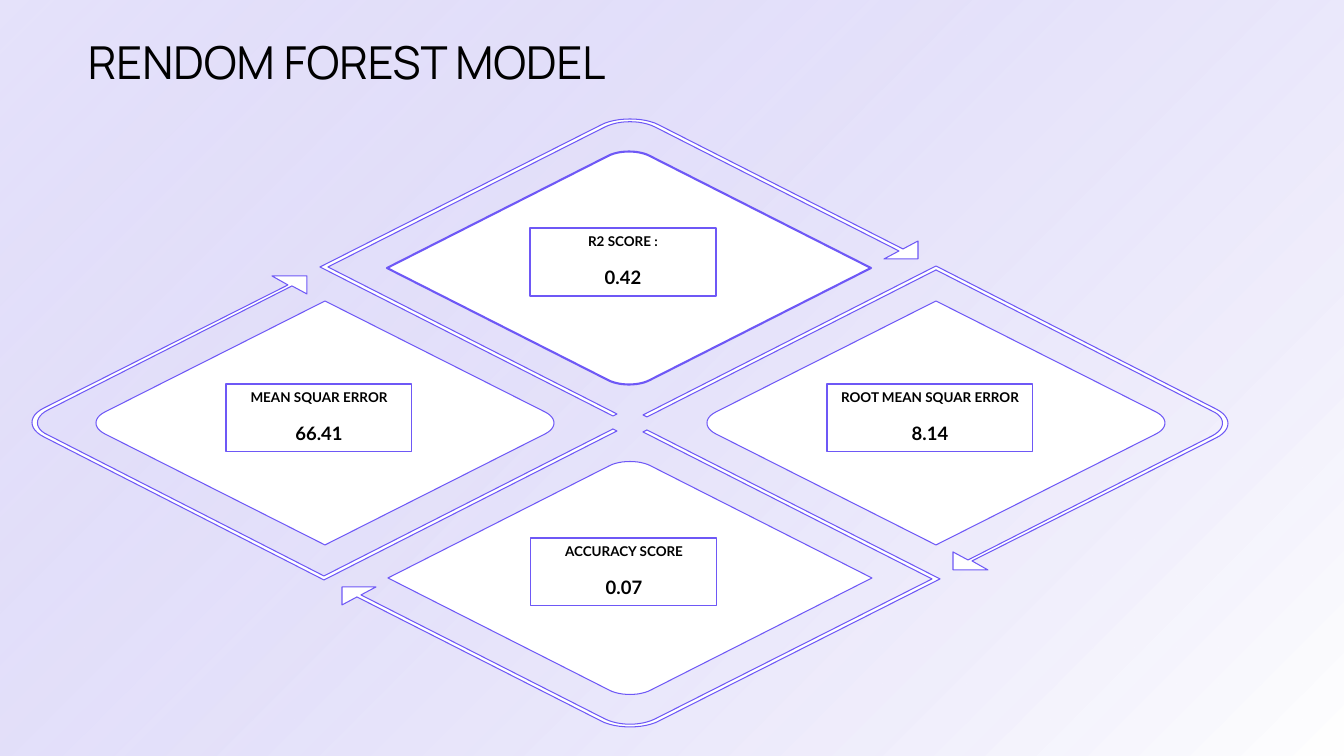
from dataclasses import dataclass

from lxml import etree
from pptx import Presentation
from pptx.dml.color import RGBColor
from pptx.enum.shapes import MSO_SHAPE
from pptx.enum.text import MSO_ANCHOR, PP_ALIGN
from pptx.oxml.ns import qn
from pptx.util import Emu, Pt

RECT = MSO_SHAPE.RECTANGLE
MIDDLE = MSO_ANCHOR.MIDDLE
CENTER = PP_ALIGN.CENTER

WIDTH, HEIGHT = 1344, 756
EMU_PER_PX = 914400 / 100.8
CURVE_STEPS = 12


@dataclass(frozen=True)
class Theme:
    white: RGBColor = RGBColor(0xFF, 0xFF, 0xFF)
    black: RGBColor = RGBColor(0x00, 0x00, 0x00)
    violet: RGBColor = RGBColor(0x6E, 0x58, 0xF6)
    lilac: RGBColor = RGBColor(0xB5, 0xAC, 0xF3)
    lilac_alpha: int = 34
    title_font: str = "Manrope"
    body_font: str = "Lato"
    title_size: float = 32.4
    label_size: float = 9.6
    value_size: float = 13.2
    value_gap: float = 11.5
    thin: float = 0.75


def px(n):
    return Emu(round(n * EMU_PER_PX))


def bezier(p0, p1, p2, p3):
    """Points along a cubic curve, without its start."""
    for step in range(1, CURVE_STEPS + 1):
        t = step / CURVE_STEPS
        u = 1 - t
        yield tuple(u**3 * a + 3 * u * u * t * b + 3 * u * t * t * c + t**3 * d
                    for a, b, c, d in zip(p0, p1, p2, p3))


def flatten(outline):
    """Turn points (x, y) and curves (c1, c2, end) into points."""
    points = []
    for part in outline:
        if len(part) == 3:
            points.extend(bezier(points[-1], *part))
        else:
            points.append(part)
    return points


class SlideMaker:
    def __init__(self, slide, theme):
        self.shapes = slide.shapes
        self.theme = theme

    def paint(self, sp, line_width):
        sp.shadow.inherit = False
        sp.fill.solid()
        sp.fill.fore_color.rgb = self.theme.white
        sp.line.color.rgb = self.theme.violet
        sp.line.width = Pt(line_width)

    def set_text(self, p, text, font, size, bold=False):
        p.text = text
        p.font.name = font
        p.font.size = Pt(size)
        p.font.bold = bold
        p.font.color.rgb = self.theme.black

    def backdrop(self):
        sp = self.shapes.add_shape(RECT, 0, 0, px(WIDTH), px(HEIGHT))
        sp.shadow.inherit = False
        sp.line.fill.background()
        sp.fill.gradient()
        sp.fill.gradient_angle = 135
        start, end = sp.fill.gradient_stops
        start.color.rgb, start.position = self.theme.white, 0
        end.color.rgb, end.position = self.theme.lilac, 1
        color = sp.element.spPr.findall(".//" + qn("a:srgbClr"))[-1]
        alpha = etree.SubElement(color, qn("a:alpha"))
        alpha.set("val", str(self.theme.lilac_alpha * 1000))

    def title(self, x, y, w, h, text):
        tf = self.shapes.add_textbox(px(x), px(y), px(w), px(h)).text_frame
        tf.word_wrap = True
        self.set_text(tf.paragraphs[0], text, self.theme.title_font, self.theme.title_size)

    def freeform(self, center, outline, line_width, sign=1):
        """Closed outline around a center; sign -1 turns it by half a circle."""
        cx, cy = center
        points = [(px(cx + sign * x), px(cy + sign * y)) for x, y in flatten(outline)]
        builder = self.shapes.build_freeform(*points[0])
        builder.add_line_segments(points[1:], close=True)
        self.paint(builder.convert_to_shape(), line_width)

    def card(self, x, y, w, h, label, value, line_width):
        sp = self.shapes.add_shape(RECT, px(x), px(y), px(w), px(h))
        self.paint(sp, line_width)
        tf = sp.text_frame
        tf.word_wrap = True
        tf.vertical_anchor = MIDDLE
        tf.margin_left = tf.margin_right = tf.margin_top = 0
        tf.margin_bottom = px(3)
        theme = self.theme
        self.set_text(tf.paragraphs[0], label, theme.body_font, theme.label_size, True)
        p = tf.add_paragraph()
        self.set_text(p, value, theme.body_font, theme.value_size, True)
        p.space_before = Pt(theme.value_gap)
        for p in tf.paragraphs:
            p.alignment = CENTER


# Outlines, relative to the center of the diamond or of the whole cycle
HUB = (630, 423)
TALL_DIAMOND = [
    (-242, 0), (-21, -112), ((-10, -118), (10, -118), (21, -112)),
    (242, 0), (21, 112), ((10, 118), (-10, 118), (-21, 112)),
]
WIDE_DIAMOND = [
    (0, -122), (220, -11), ((232, -5), (232, 5), (220, 11)),
    (0, 122), (-220, 11), ((-232, 5), (-232, -5), (-220, -11)),
]
TOP_ARROW = [
    (-29, -298), ((-14, -306), (14, -306), (29, -298)),
    (273, -174), (288, -182), (288, -164), (254, -164), (269, -172),
    (25, -296), ((11, -303), (-11, -303), (-25, -296)),
    (-302, -156), (-13, -9), (-17, -7), (-310, -156),
]
RIGHT_ARROW = [
    (586, -14), ((602, -6), (602, 7), (586, 15)),
    (342, 138), (358, 147), (323, 147), (323, 129), (338, 137),
    (582, 13), ((596, 6), (596, -6), (582, -12)),
    (306, -153), (17, -6), (13, -8), (306, -157),
]

# Diamond center, diamond outline, line width, card left, top, width, label, value, card line
SCORES = [
    ((629, 268), TALL_DIAMOND, 1.5, 530, 228, 186, "R2 SCORE :", "0.42", 1),
    ((936, 423), WIDE_DIAMOND, 0.75, 827, 384, 206, "ROOT MEAN SQUAR ERROR", "8.14", 0.75),
    ((630, 578), TALL_DIAMOND, 0.75, 531, 538, 186, "ACCURACY SCORE", "0.07", 0.75),
    ((325, 423), WIDE_DIAMOND, 0.75, 226, 384, 186, "MEAN SQUAR ERROR", "66.41", 0.75),
]
CARD_HEIGHT = 68


def main():
    prs = Presentation()
    prs.slide_width, prs.slide_height = px(WIDTH), px(HEIGHT)
    s = prs.slides.add_slide(prs.slide_layouts[6])
    theme = Theme()
    maker = SlideMaker(s, theme)

    # Background and title
    maker.backdrop()
    maker.title(78, 29, 572, 72, "RENDOM FOREST MODEL")

    # Cycle arrows, each with its half-turn partner
    for arrow in (TOP_ARROW, RIGHT_ARROW):
        for sign in (1, -1):
            maker.freeform(HUB, arrow, theme.thin, sign)

    # Diamonds with score cards
    for center, diamond, width, x, y, w, label, value, card_line in SCORES:
        maker.freeform(center, diamond, width)
        maker.card(x, y, w, CARD_HEIGHT, label, value, card_line)

    prs.save("out.pptx")


if __name__ == "__main__":
    main()
